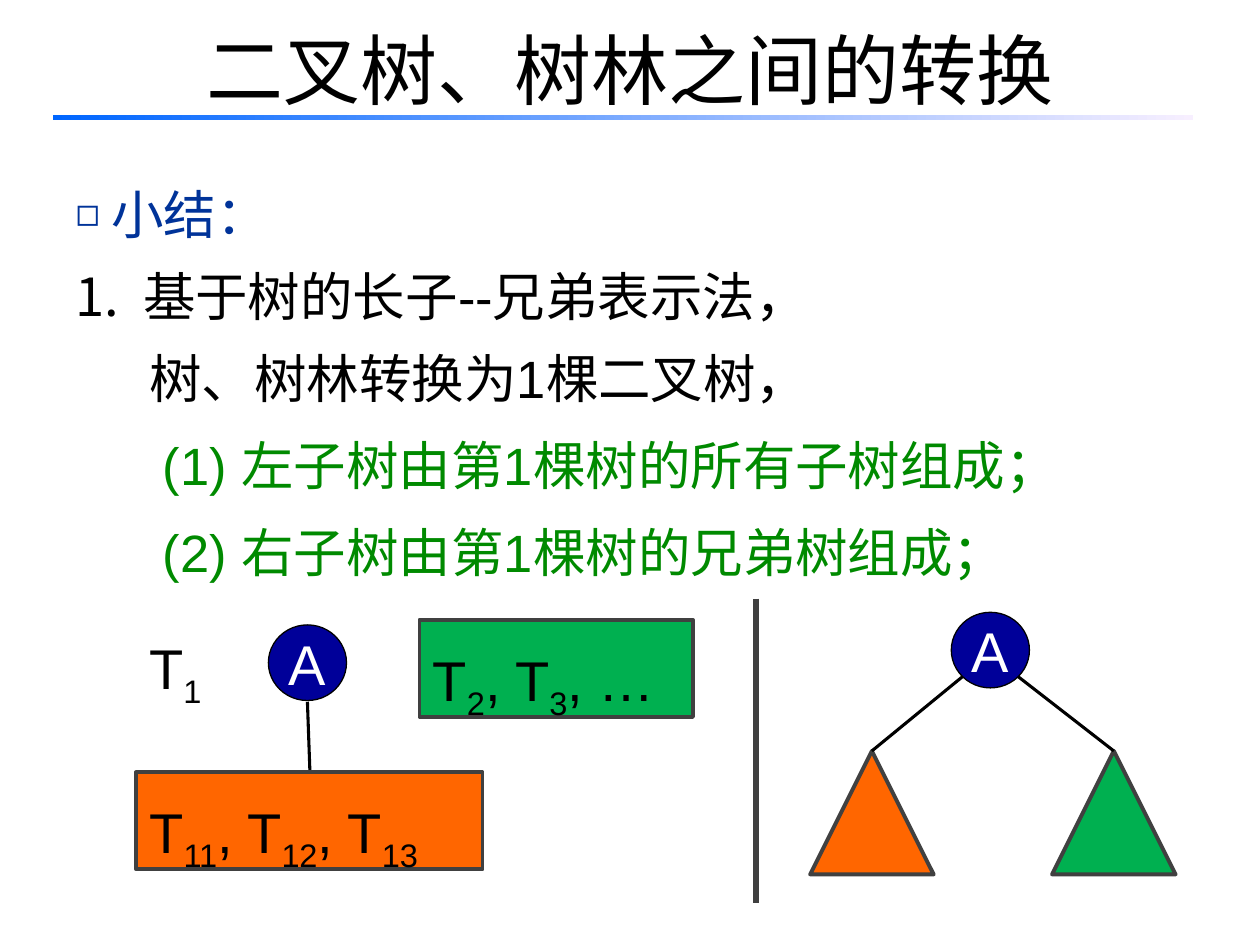
import pptx
import pptx.util
import pptx.dml.color
import pptx.enum.shapes
import pptx.enum.text
import pptx.oxml.ns
import lxml.etree

COLUMNS, ROWS = 100, 75
WIDTH, HEIGHT = pptx.util.Inches(10), pptx.util.Inches(7.5)
SHAPE = pptx.enum.shapes.MSO_SHAPE
ALIGN = pptx.enum.text.PP_ALIGN
ANCHOR = pptx.enum.text.MSO_ANCHOR
LATIN, CHINESE = "Arial", "Noto Sans CJK SC"
COLORS = {
    "black": "000000", "white": "FFFFFF", "heading": "003399", "point": "008A00",
    "node": "000099", "children": "FF6600", "siblings": "00B050", "edge": "404040",
    "rule_start": "0066FF", "rule_end": "F7EFFF",
}


def color(name):
    return pptx.dml.color.RGBColor.from_string(COLORS[name])


def across(columns):
    return round(WIDTH * columns / COLUMNS)


def down(rows):
    return round(HEIGHT * rows / ROWS)


def place(columns, rows, wide, high):
    return across(columns), down(rows), across(wide), down(high)


def move(shape, area):
    shape.left, shape.top, shape.width, shape.height = place(*area)


def add_element(parent, tag, **attributes):
    return lxml.etree.SubElement(parent, pptx.oxml.ns.qn(tag), attributes)


def style_font(font, size, tint, name=LATIN):
    font.size = pptx.util.Pt(size)
    font.name = name
    font.color.rgb = color(tint)


def set_insets(frame, side, top):
    frame.margin_left = frame.margin_right = across(side)
    frame.margin_top = frame.margin_bottom = down(top)


def fill_title(title):
    move(title, (5, -0.8, 90, 12.5))
    frame = title.text_frame
    frame.text = "二叉树、树林之间的转换"
    frame.vertical_anchor = ANCHOR.MIDDLE
    para = frame.paragraphs[0]
    para.alignment = ALIGN.CENTER
    span = para.runs[0]
    style_font(span.font, 44, "black", CHINESE)
    add_element(span.font._element, "a:ea", typeface=CHINESE)


def set_marker(para, marker, margin, hanging):
    properties = para._p.get_or_add_pPr()
    properties.set("marL", str(across(margin)))
    properties.set("indent", str(-across(hanging)))
    if marker == "square":
        add_element(properties, "a:buSzPct", val="75000")
        add_element(properties, "a:buFont", typeface=LATIN)
        add_element(properties, "a:buChar", char="◻")
    elif marker == "number":
        add_element(properties, "a:buFont", typeface=CHINESE)
        add_element(properties, "a:buAutoNum", type="arabicPeriod")
    else:
        add_element(properties, "a:buNone")


def fill_body(body):
    lines = [
        ("小结：", "heading", "square", 3.85, 2.85, 0),
        ("基于树的长子--兄弟表示法，", "black", "number", 6.35, 5.35, 0),
        ("树、树林转换为1棵二叉树，", "black", None, 6.85, 0, 0),
        ("(1) 左子树由第1棵树的所有子树组成；", "point", None, 7.9, 0, 3),
        ("(2) 右子树由第1棵树的兄弟树组成；", "point", None, 7.9, 0, 3),
    ]
    move(body, (5, 12.5, 95, 34.7))
    frame = body.text_frame
    set_insets(frame, 0, 0.45)
    frame.text = "\n".join(line[0] for line in lines)
    for para, (_, tint, marker, margin, hanging, before) in zip(frame.paragraphs, lines):
        para.alignment = ALIGN.JUSTIFY
        para.line_spacing = 1.3
        para.space_before = pptx.util.Pt(before)
        set_marker(para, marker, margin, hanging)
        style_font(para.runs[0].font, 30, tint)


def add_filled(slide, kind, area, tint, edge="edge", weight=2.25):
    shape = slide.shapes.add_shape(kind, *place(*area))
    shape.shadow.inherit = False
    shape.fill.solid()
    shape.fill.fore_color.rgb = color(tint)
    shape.line.color.rgb = color(edge)
    shape.line.width = pptx.util.Pt(weight)
    return shape


def add_rule(slide):
    rule = slide.shapes.add_shape(SHAPE.RECTANGLE, *place(4.2, 9.1, 90.5, 0.4))
    rule.shadow.inherit = False
    rule.line.fill.background()
    rule.fill.gradient()
    rule.fill.gradient_angle = 0
    for stop, tint in zip(rule.fill.gradient_stops, ("rule_start", "rule_end")):
        stop.color.rgb = color(tint)


def add_node(slide, left, top):
    node = add_filled(slide, SHAPE.OVAL, (left, top, 6.2, 6), "node", "black", 0.75)
    frame = node.text_frame
    set_insets(frame, 0, 0)
    frame.word_wrap = False
    frame.vertical_anchor = ANCHOR.MIDDLE
    frame.text = "A"
    frame.paragraphs[0].alignment = ALIGN.CENTER
    style_font(frame.paragraphs[0].runs[0].font, 32, "white")


def write_trees(box, *pieces):
    frame = box.text_frame
    frame.word_wrap = True
    frame.vertical_anchor = ANCHOR.TOP
    set_insets(frame, 1.05, 0.5)
    para = frame.paragraphs[0]
    para.alignment = ALIGN.LEFT
    para.line_spacing = 1.25
    for index, piece in enumerate(pieces):
        span = para.add_run()
        span.text = piece
        style_font(span.font, 32, "black")
        if index % 2:
            span.font._element.set("baseline", "-25000")


def add_line(slide, start, end, tint="black", weight=1.75):
    line = slide.shapes.add_connector(
        pptx.enum.shapes.MSO_CONNECTOR.STRAIGHT,
        across(start[0]), down(start[1]), across(end[0]), down(end[1]))
    line.line.color.rgb = color(tint)
    line.line.width = pptx.util.Pt(weight)
    add_element(line._element.spPr, "a:effectLst")


def add_forest(slide):
    add_node(slide, 21.3, 49.6)
    add_line(slide, (24.4, 55.7), (24.6, 61.3))
    children = add_filled(slide, SHAPE.RECTANGLE, (10.8, 61.3, 27.5, 7.7), "children")
    write_trees(children, "T", "11", ", T", "12", ", T", "13")
    siblings = add_filled(slide, SHAPE.RECTANGLE, (33.3, 49.2, 21.7, 7.7), "siblings")
    write_trees(siblings, "T", "2", ", T", "3", ", …")
    label = slide.shapes.add_textbox(*place(10.8, 48.3, 8.3, 7.7))
    write_trees(label, "T", "1")


def add_binary_tree(slide):
    size, top = 9.8, 59.6
    add_node(slide, 75.5, 48.6)
    for left, start, tint in ((64.3, 76.4, "children"), (83.5, 80.8, "siblings")):
        add_filled(slide, SHAPE.ISOSCELES_TRIANGLE, (left, top, size, size), tint)
        add_line(slide, (start, 53.7), (left + size / 2, top))


def main():
    deck = pptx.Presentation()
    deck.slide_width, deck.slide_height = WIDTH, HEIGHT
    slide = deck.slides.add_slide(deck.slide_layouts[1])
    fill_title(slide.shapes.title)
    add_rule(slide)
    fill_body(slide.placeholders[1])
    add_forest(slide)
    add_binary_tree(slide)
    add_line(slide, (60, 47.5), (60, 71.7), "edge", 3)
    deck.save("out.pptx")


if __name__ == "__main__":
    main()
